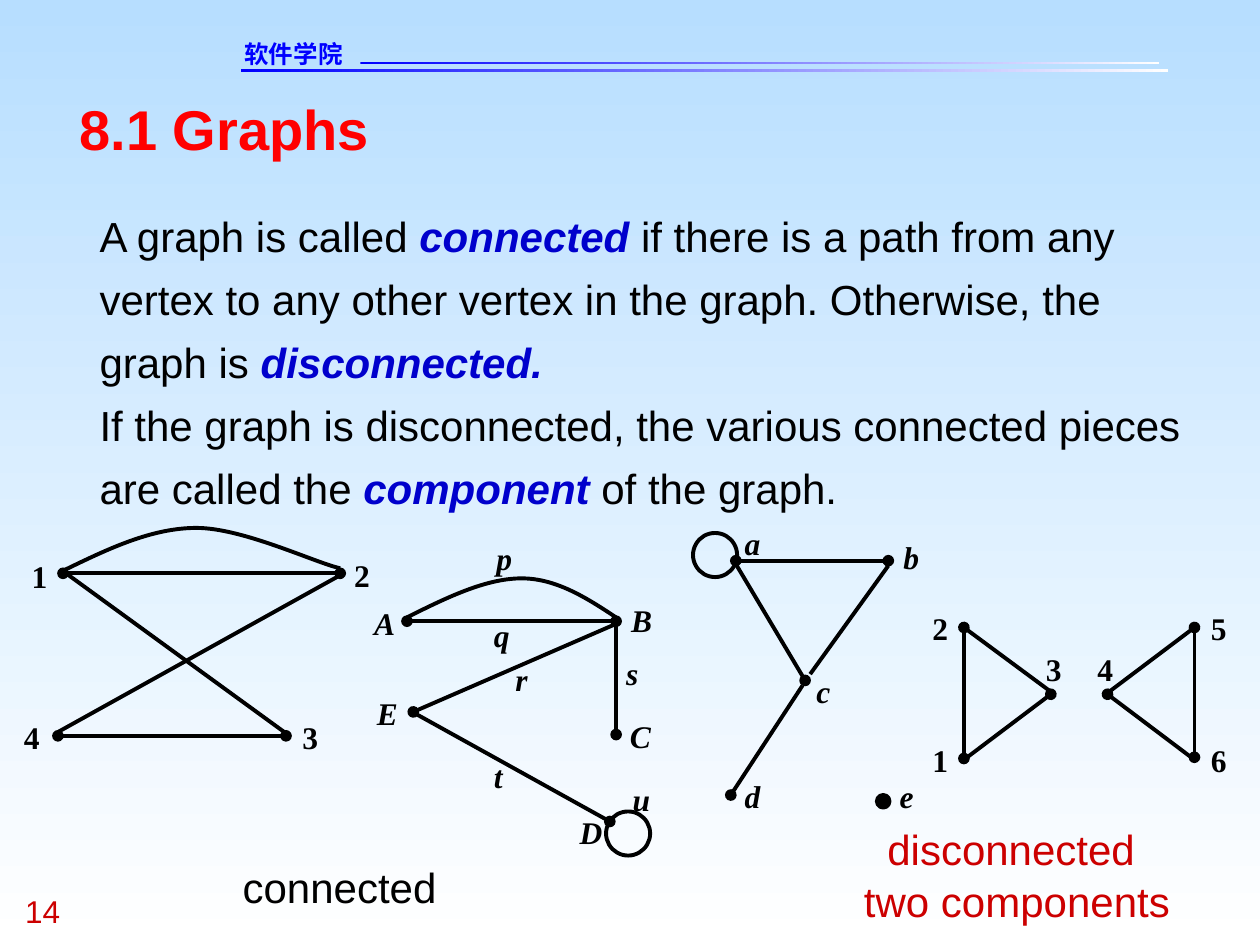
from typing import NamedTuple

from lxml.etree import SubElement
from pptx import Presentation
from pptx.dml.color import RGBColor
from pptx.enum.shapes import MSO_CONNECTOR, MSO_SHAPE
from pptx.enum.text import MSO_ANCHOR, MSO_AUTO_SIZE, PP_ALIGN
from pptx.oxml.ns import qn
from pptx.util import Inches, Pt

COLORS = {"sky": "B7DEFF", "white": "FFFFFF", "blue": "0000FF", "term": "0000CC",
          "red": "FF0000", "dark red": "CC0000", "black": "000000"}
COLUMNS, ROWS = 100, 75  # square cells of a tenth of an inch
CELL = Inches(10) // COLUMNS
LINE_WIDTH = Pt(2.25)
LABEL_HEIGHT = 3


class Box(NamedTuple):
    left: float
    top: float
    width: float
    height: float


class Style(NamedTuple):
    size: float
    color: str = "black"
    font: str = "Arial"
    bold: bool = False
    italic: bool = False
    align: PP_ALIGN = PP_ALIGN.LEFT
    spacing: float = 1.0


class Edge(NamedTuple):
    start: tuple[float, float]
    end: tuple[float, float]
    dots: str = ""  # "head", "tail" or both


class Label(NamedTuple):
    text: str
    left: float
    top: float
    width: float = 1.1


class Graph(NamedTuple):
    edges: list[Edge]
    labels: list[Label]
    italic: bool = False
    curve: tuple[tuple[float, float], ...] = ()  # start, then three points per Bezier piece
    loops: tuple[Box, ...] = ()
    dots: tuple[Box, ...] = ()


BOTH = "head tail"
GRAPHS = [
    Graph(
        [Edge((5.1, 45.4), (22.7, 58.2)), Edge((4.6, 58.1), (27.1, 45.6)),
         Edge((5, 45.5), (27, 45.5), BOTH), Edge((4.6, 58.4), (22.7, 58.4), BOTH)],
        [Label("1", 2.5, 44.2), Label("2", 28.1, 44.1),
         Label("3", 24, 57), Label("4", 1.9, 57)],
        curve=((5, 45.3), (8.5, 43.6), (12, 41.9), (15.6, 41.9),
               (19.3, 41.9), (25.1, 44.7), (27, 45.1))),
    Graph(
        [Edge((58.3, 44.6), (63.9, 54), "tail"), Edge((64.3, 53.5), (70.5, 44.9)),
         Edge((58.4, 44.5), (70.5, 44.5), BOTH), Edge((58, 63.1), (63.7, 54.4), "head")],
        [Label("a", 59.1, 41.6, 1.3), Label("b", 71.7, 42.7, 1.3),
         Label("d", 59.1, 61.7, 1.3), Label("c", 64.8, 53.3), Label("e", 71.4, 61.7)],
        italic=True, loops=(Box(55, 42.3, 3.5, 3.5),), dots=(Box(69.6, 63.1, 1, 1),)),
    Graph(
        [Edge((32.9, 56.6), (48.4, 65.2), "tail"), Edge((32.8, 56.5), (48.7, 49.6), "head"),
         Edge((32.3, 49.3), (48.9, 49.3), BOTH), Edge((48.9, 49.6), (48.9, 58.3), "tail")],
        [Label("A", 29.7, 47.9, 1.6), Label("C", 50, 56.9, 1.6), Label("E", 29.9, 55.1, 1.5),
         Label("B", 50.1, 47.7, 1.4), Label("D", 46, 64.5, 1.6), Label("p", 39.4, 42.8),
         Label("q", 39.2, 48.9), Label("r", 40.9, 52.4, 0.9), Label("s", 49.7, 51.9, 0.9),
         Label("t", 39.2, 60.1, 0.6), Label("u", 50.2, 61.9, 1.2)],
        italic=True, loops=(Box(48.1, 64.4, 3.5, 3.5),),
        curve=((32.3, 49), (35.5, 47.4), (38.6, 45.9), (41.4, 45.9),
               (44.1, 45.9), (46.5, 47.4), (48.9, 49))),
    Graph(
        [Edge((76.5, 49.8), (76.5, 60.2), "tail"), Edge((76.5, 60.3), (83.4, 55.1), "tail"),
         Edge((76.5, 49.8), (83.4, 54.9), "head"), Edge((94.8, 49.7), (94.8, 60.1), "tail"),
         Edge((87.9, 55), (94.8, 49.8), "tail"), Edge((87.9, 55.1), (94.8, 60.3), "head")],
        [Label("1", 74, 58.8, 1.3), Label("2", 74, 48.3, 1.3), Label("3", 83, 51.6, 1.3),
         Label("4", 87.1, 51.6, 1.3), Label("5", 96.1, 48.3, 1.3),
         Label("6", 96.1, 58.8, 1.3)]),
]
DEFINITION = [
    [("A graph is called ", False), ("connected ", True),
     ("if there is a path from any vertex to any other vertex in the graph. "
      "Otherwise, the graph is ", False), ("disconnected.", True)],
    [("If the graph is disconnected, the various connected pieces are called the ", False),
     ("component ", True), ("of the graph.", False)],
]


def rgb(name: str) -> RGBColor:
    return RGBColor.from_string(COLORS[name])


def cells(*values: float) -> list[int]:
    return [round(value * CELL) for value in values]


def set_gradient(fill, first: str, last: str, angle: float) -> None:
    fill.gradient()
    fill.gradient_angle = angle
    for stop, name in zip(fill.gradient_stops, (first, last)):
        stop.color.rgb = rgb(name)


def prepare_frame(shape) -> None:
    frame = shape.text_frame
    frame.margin_left = frame.margin_right = frame.margin_top = frame.margin_bottom = 0
    frame.word_wrap = True
    frame.auto_size = MSO_AUTO_SIZE.NONE
    frame.vertical_anchor = MSO_ANCHOR.TOP


def style_paragraph(paragraph, style: Style) -> None:
    paragraph.alignment = style.align
    paragraph.line_spacing = style.spacing
    font = paragraph.font
    font.name, font.size = style.font, Pt(style.size)
    font.bold, font.italic = style.bold, style.italic
    font.color.rgb = rgb(style.color)


def fill_text(shape, text: str, style: Style) -> None:
    prepare_frame(shape)
    shape.text_frame.text = text
    for paragraph in shape.text_frame.paragraphs:
        style_paragraph(paragraph, style)


def add_text(shapes, box: Box, text: str, style: Style) -> None:
    fill_text(shapes.add_textbox(*cells(*box)), text, style)


def add_bar(shapes, box: Box) -> None:
    bar = shapes.add_shape(MSO_SHAPE.RECTANGLE, *cells(*box))
    bar.shadow.inherit = False
    bar.line.fill.background()
    set_gradient(bar.fill, "blue", "white", 0)


def add_definition(shapes, box: Box) -> None:
    shape = shapes.add_textbox(*cells(*box))
    prepare_frame(shape)
    frame = shape.text_frame
    for index, parts in enumerate(DEFINITION):
        paragraph = frame.add_paragraph() if index else frame.paragraphs[0]
        style_paragraph(paragraph, Style(24, spacing=1.25))
        for text, is_term in parts:
            run = paragraph.add_run()
            run.text = text
            if is_term:
                run.font.bold = run.font.italic = True
                run.font.color.rgb = rgb("term")


def outline(shape) -> None:
    shape.line.color.rgb = rgb("black")
    shape.line.width = LINE_WIDTH


def add_edge(shapes, edge: Edge) -> None:
    line = shapes.add_connector(MSO_CONNECTOR.STRAIGHT, *cells(*edge.start, *edge.end))
    outline(line)
    for end in edge.dots.split():
        SubElement(line.line._get_or_add_ln(), qn(f"a:{end}End"), type="oval")
    SubElement(line._element.spPr, qn("a:effectLst"))


def add_circle(shapes, box: Box, solid: bool) -> None:
    circle = shapes.add_shape(MSO_SHAPE.OVAL, *cells(*box))
    circle.shadow.inherit = False
    outline(circle)
    if solid:
        circle.fill.solid()
        circle.fill.fore_color.rgb = rgb("black")
    else:
        circle.fill.background()


def add_curve(shapes, points: tuple[tuple[float, float], ...]) -> None:
    """Draw an open Bezier curve by joining each three line points into one piece."""
    start, *rest = [cells(*point) for point in points]
    builder = shapes.build_freeform(*start)
    builder.add_line_segments(rest, close=False)
    curve = builder.convert_to_shape()
    curve.shadow.inherit = False
    curve.fill.background()
    outline(curve)
    path = next(curve._element.iter(qn("a:path")))
    segments = path.findall(qn("a:lnTo"))
    for first in range(0, len(segments), 3):
        piece = SubElement(path, qn("a:cubicBezTo"))
        for segment in segments[first:first + 3]:
            piece.append(segment[0])
            path.remove(segment)


def add_graph(slide, graph: Graph) -> None:
    shapes = slide.shapes.add_group_shape().shapes
    for edge in graph.edges:
        add_edge(shapes, edge)
    for box in graph.dots + graph.loops:
        add_circle(shapes, box, solid=box in graph.dots)
    style = Style(18, font="Times New Roman", bold=True, italic=graph.italic)
    for label in graph.labels:
        add_text(shapes, Box(label.left, label.top, label.width, LABEL_HEIGHT),
                 label.text, style)
    if graph.curve:
        add_curve(shapes, graph.curve)


def main() -> None:
    presentation = Presentation()
    presentation.slide_width, presentation.slide_height = cells(COLUMNS, ROWS)
    slide = presentation.slides.add_slide(presentation.slide_layouts[5])
    set_gradient(slide.background.fill, "sky", "white", 270)
    shapes = slide.shapes

    title = shapes.title
    title.left, title.top, title.width, title.height = cells(6.3, 7.5, 87.5, 5.3)
    fill_text(title, "8.1 Graphs", Style(32, "red", bold=True))

    add_bar(shapes, Box(19.1, 5.5, 73.6, 0.2))
    add_bar(shapes, Box(28.6, 4.9, 63.4, 0.2))
    add_text(shapes, Box(19.4, 3.1, 14.5, 2.3), "软件学院",
             Style(14, "blue", "DejaVu Sans", bold=True))
    add_text(shapes, Box(2, 70.8, 7.5, 3), "14", Style(18, "dark red"))
    add_definition(shapes, Box(7.9, 15.7, 87.5, 24))
    add_text(shapes, Box(18.3, 68.4, 17.3, 4), "connected", Style(24, align=PP_ALIGN.CENTER))
    add_text(shapes, Box(65.6, 65.2, 29.3, 8), "disconnected\n two components",
             Style(24, "dark red", align=PP_ALIGN.CENTER, spacing=1.04))
    for graph in GRAPHS:
        add_graph(slide, graph)
    presentation.save("out.pptx")


if __name__ == "__main__":
    main()
